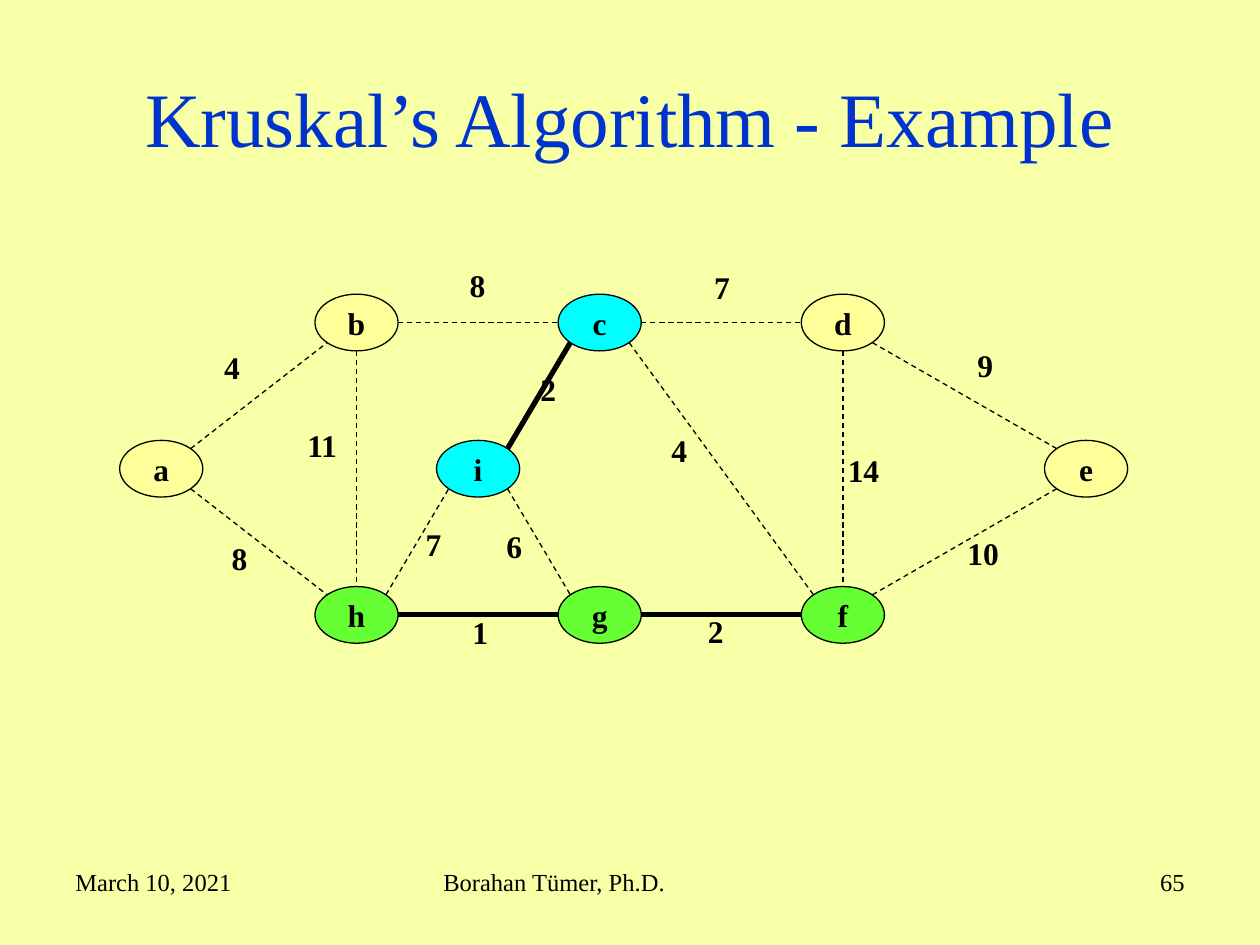
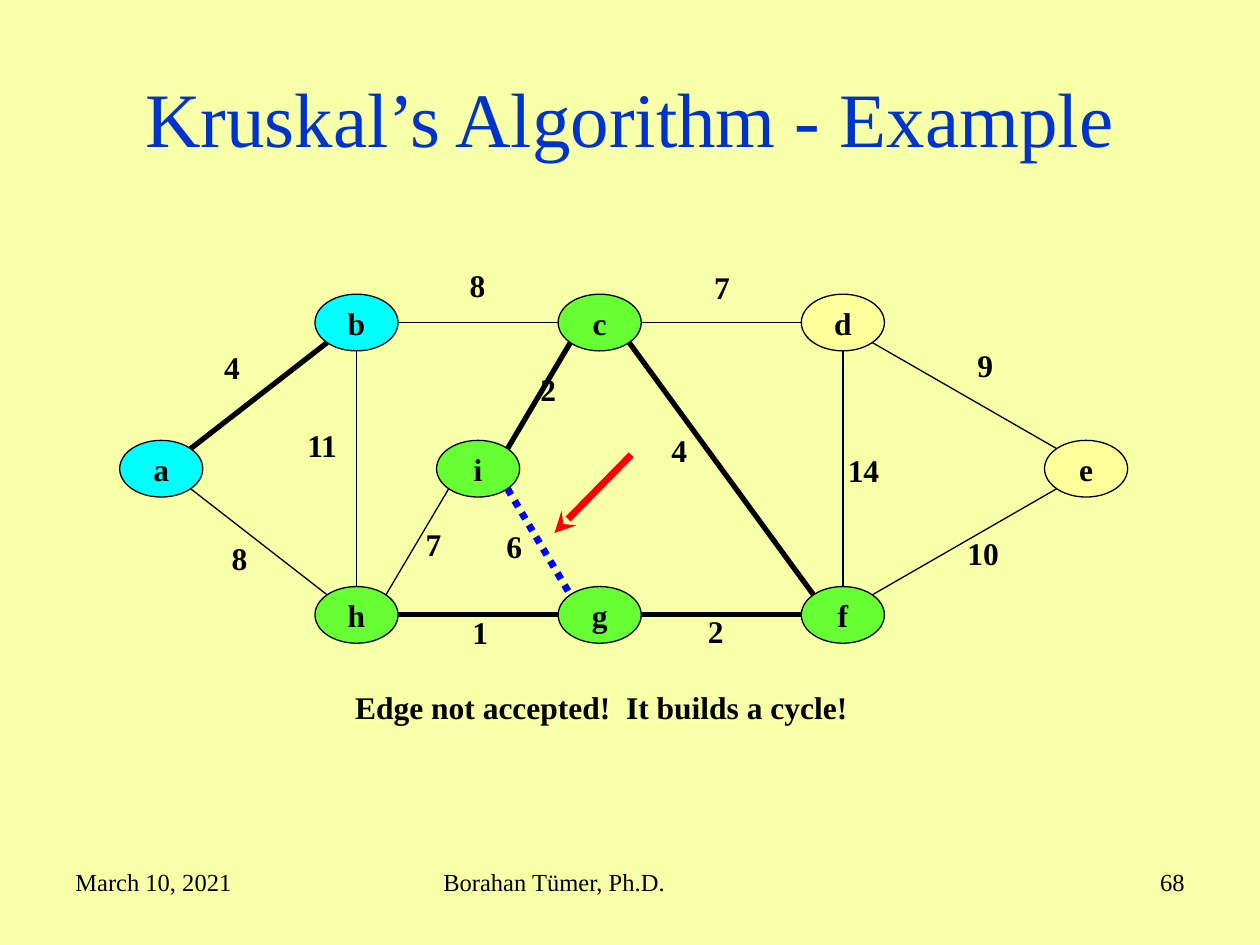
from lxml.etree import SubElement
from pptx import Presentation
from pptx.dml.color import RGBColor
from pptx.enum.dml import MSO_LINE
from pptx.enum.shapes import MSO_CONNECTOR, MSO_SHAPE
from pptx.enum.text import MSO_ANCHOR, PP_ALIGN
from pptx.oxml.ns import qn
from pptx.util import Inches, Pt

FONT = "Times New Roman"
BACKGROUND, TITLE_BLUE, BLACK = "F7FFA7", "0033CC", "000000"
YELLOW, CYAN, GREEN = "FFFF99", "00FFFF", "66FF33"
REJECTED_BLUE, POINTER_RED = "0000FF", "FF0000"

TITLE_BOX = (0.5, 0.3, 9, 1.25)
GRAPH_BOX = (0.95, 2.06, 8, 3.16)
FOOTER_BOX = (0.5, 6.83, 9, 0.52)
NODE_WIDTH, NODE_HEIGHT = 0.66, 0.45
LABEL_HEIGHT = 0.4
TOP_ROW, MIDDLE_ROW, BOTTOM_ROW = 0.5, 1.66, 2.82
COLUMNS = [1.88 + 1.93 * step for step in range(4)]

NODES = {
    "a": (0.33, MIDDLE_ROW),
    "b": (COLUMNS[0], TOP_ROW),
    "c": (COLUMNS[1], TOP_ROW),
    "d": (COLUMNS[2], TOP_ROW),
    "e": (COLUMNS[3], MIDDLE_ROW),
    "i": ((COLUMNS[0] + COLUMNS[1]) / 2, MIDDLE_ROW),
    "h": (COLUMNS[0], BOTTOM_ROW),
    "g": (COLUMNS[1], BOTTOM_ROW),
    "f": (COLUMNS[2], BOTTOM_ROW),
}
EDGES = {
    "ab": ("4", 0.73, 0.65),
    "bc": ("8", 2.68, 0),
    "cd": ("7", 4.62, 0.02),
    "de": ("9", 6.71, 0.64),
    "df": ("14", 5.68, 1.47),
    "fe": ("10", 6.63, 2.13),
    "cf": ("4", 4.28, 1.31),
    "gf": ("2", 4.57, 2.75),
    "ig": ("6", 2.97, 2.07),
    "ic": ("2", 3.24, 0.83),
    "bh": ("11", 1.39, 1.27),
    "ah": ("8", 0.79, 2.17),
    "hg": ("1", 2.7, 2.76),
    "hi": ("7", 2.33, 2.06),
}


def rgb(code):
    """Turn a hex string into a colour."""
    return RGBColor.from_string(code)


def write(frame, text, size=18, color=BLACK, bold=False, align=PP_ALIGN.LEFT,
          anchor=MSO_ANCHOR.TOP, wrap=False):
    """Put one formatted paragraph into a text frame."""
    frame.word_wrap = wrap
    frame.vertical_anchor = anchor
    para = frame.paragraphs[0]
    para.alignment = align
    span = para.add_run()
    span.text = text
    span.font.name = FONT
    span.font.size = Pt(size)
    span.font.bold = bold
    span.font.color.rgb = rgb(color)


def add_text(page, text, box, **style):
    """Add a text box in the given place."""
    shape = page.shapes.add_textbox(*map(Inches, box))
    write(shape.text_frame, text, **style)


def add_line(page, start, end, color=BLACK, width=0.75, dash=None, arrow=False):
    """Draw a straight line, with an arrowhead at its end if asked."""
    connector = page.shapes.add_connector(
        MSO_CONNECTOR.STRAIGHT, *map(Inches, (*start, *end)))
    connector.line.color.rgb = rgb(color)
    connector.line.width = Pt(width)
    if dash:
        connector.line.dash_style = dash
    properties = connector._element.spPr
    if arrow:
        SubElement(properties.find(qn("a:ln")), qn("a:tailEnd"), type="stealth")
    SubElement(properties, qn("a:effectLst"))


def rim_point(center, target):
    """Find the point on a node's rim that faces another node."""
    signs = [(there > here) - (there < here) for here, there in zip(center, target)]
    reach = 0.5 ** 0.5 if all(signs) else 1
    return (center[0] + signs[0] * reach * NODE_WIDTH / 2,
            center[1] + signs[1] * reach * NODE_HEIGHT / 2)


def add_node(page, name, center, color):
    """Draw one named ellipse around its centre."""
    left, top = center[0] - NODE_WIDTH / 2, center[1] - NODE_HEIGHT / 2
    node = page.shapes.add_shape(
        MSO_SHAPE.OVAL, *map(Inches, (left, top, NODE_WIDTH, NODE_HEIGHT)))
    node.shadow.inherit = False
    node.fill.solid()
    node.fill.fore_color.rgb = rgb(color)
    node.line.color.rgb = rgb(BLACK)
    node.line.width = Pt(0.75)
    write(node.text_frame, name, bold=True, align=PP_ALIGN.CENTER,
          anchor=MSO_ANCHOR.MIDDLE)


def add_graph(page, box, node_colors, tree, open_dash=None, rejected=None):
    """Draw the weighted graph with its chosen and open edges."""
    left, top = box[:2]
    centers = {name: (left + x, top + y) for name, (x, y) in NODES.items()}
    for name, center in centers.items():
        add_node(page, name, center, node_colors.get(name, YELLOW))
    for edge, (weight, x, y) in EDGES.items():
        start, end = (centers[name] for name in edge)
        if edge == rejected:
            style = {"color": REJECTED_BLUE, "width": 4, "dash": MSO_LINE.ROUND_DOT}
        elif edge in tree:
            style = {"width": 3}
        else:
            style = {"dash": open_dash}
        add_line(page, rim_point(start, end), rim_point(end, start), **style)
        label_width = 0.21 + 0.12 * len(weight)
        add_text(page, weight, (left + x, top + y, label_width, LABEL_HEIGHT), bold=True)


def add_rejection(page, box):
    """Point at the refused edge and say why it is refused."""
    left, top = box[:2]
    add_line(page, (left + 4.06, top + 1.55), (left + 3.45, top + 2.17),
             color=POINTER_RED, width=4, arrow=True)
    add_text(page, "Edge not accepted!  It builds a cycle!",
             (left + 1.77, top + 3.35, 4.11, LABEL_HEIGHT), bold=True)


def add_title(page, box):
    """Place and format the title placeholder."""
    title = page.shapes.title
    title.left, title.top, title.width, title.height = map(Inches, box)
    write(title.text_frame, "Kruskal’s Algorithm - Example", size=44, color=TITLE_BLUE,
          align=PP_ALIGN.CENTER, anchor=MSO_ANCHOR.MIDDLE, wrap=True)


def add_footer(page, box, number):
    """Write the date, the author and the page number."""
    left, top, width, height = box
    side = 2.33
    add_text(page, "March 10, 2021", (left, top, side, height), size=14, wrap=True)
    add_text(page, "Borahan Tümer, Ph.D.", (left + 2.92, top, 3.17, height),
             size=14, wrap=True)
    add_text(page, number, (left + width - side, top, side, height),
             size=14, align=PP_ALIGN.RIGHT, wrap=True)


def add_page(deck, number, **graph):
    """Add one step of the example with its title, graph and footer."""
    page = deck.slides.add_slide(deck.slide_layouts.get_by_name("Title Only"))
    add_title(page, TITLE_BOX)
    add_footer(page, FOOTER_BOX, number)
    add_graph(page, GRAPH_BOX, **graph)
    return page


def main():
    """Build and save the deck."""
    deck = Presentation()
    deck.slide_width, deck.slide_height = Inches(10), Inches(7.5)
    background = deck.slide_master.background.fill
    background.solid()
    background.fore_color.rgb = rgb(BACKGROUND)

    add_page(deck, "65", tree={"ic", "hg", "gf"}, open_dash=MSO_LINE.DASH,
             node_colors=dict.fromkeys("ci", CYAN) | dict.fromkeys("hgf", GREEN))
    cycle_page = add_page(
        deck, "68", tree={"ab", "ic", "cf", "hg", "gf"}, rejected="ig",
        node_colors=dict.fromkeys("ab", CYAN) | dict.fromkeys("cihgf", GREEN))
    add_rejection(cycle_page, GRAPH_BOX)
    deck.save("out.pptx")


if __name__ == "__main__":
    main()
